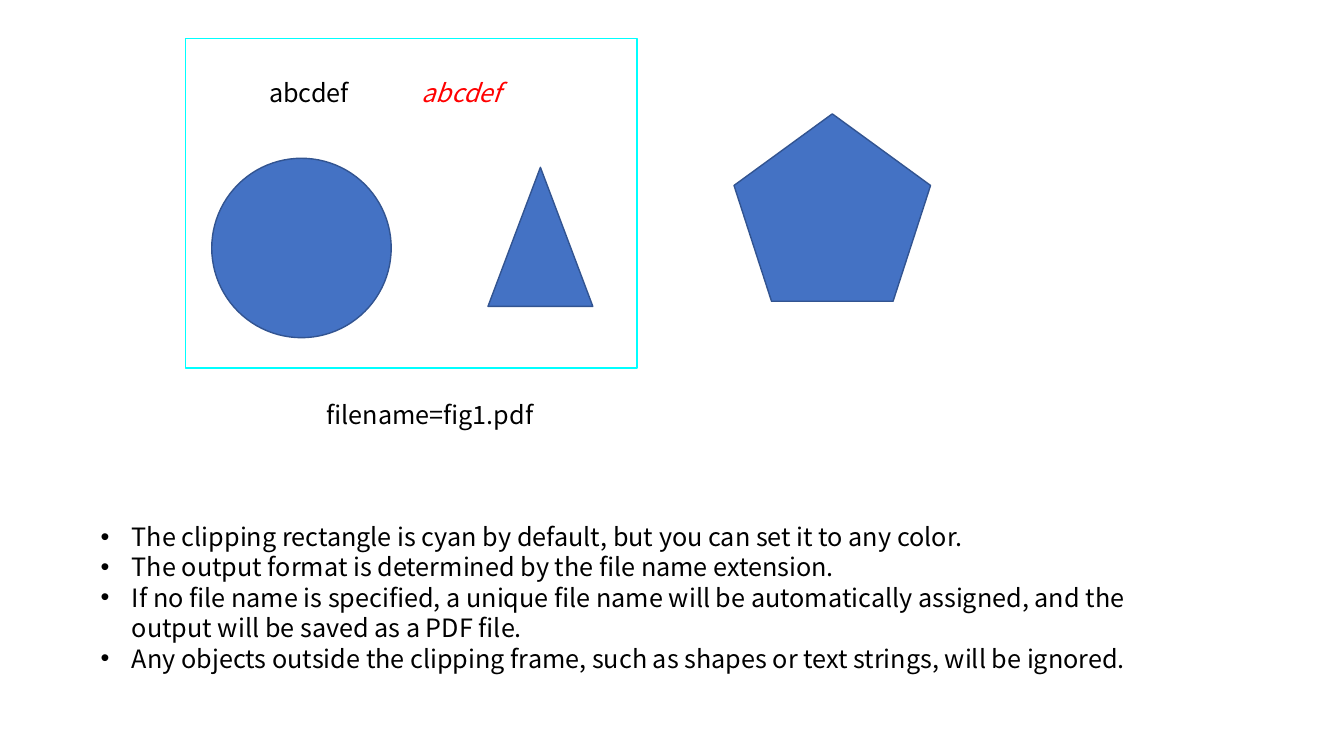
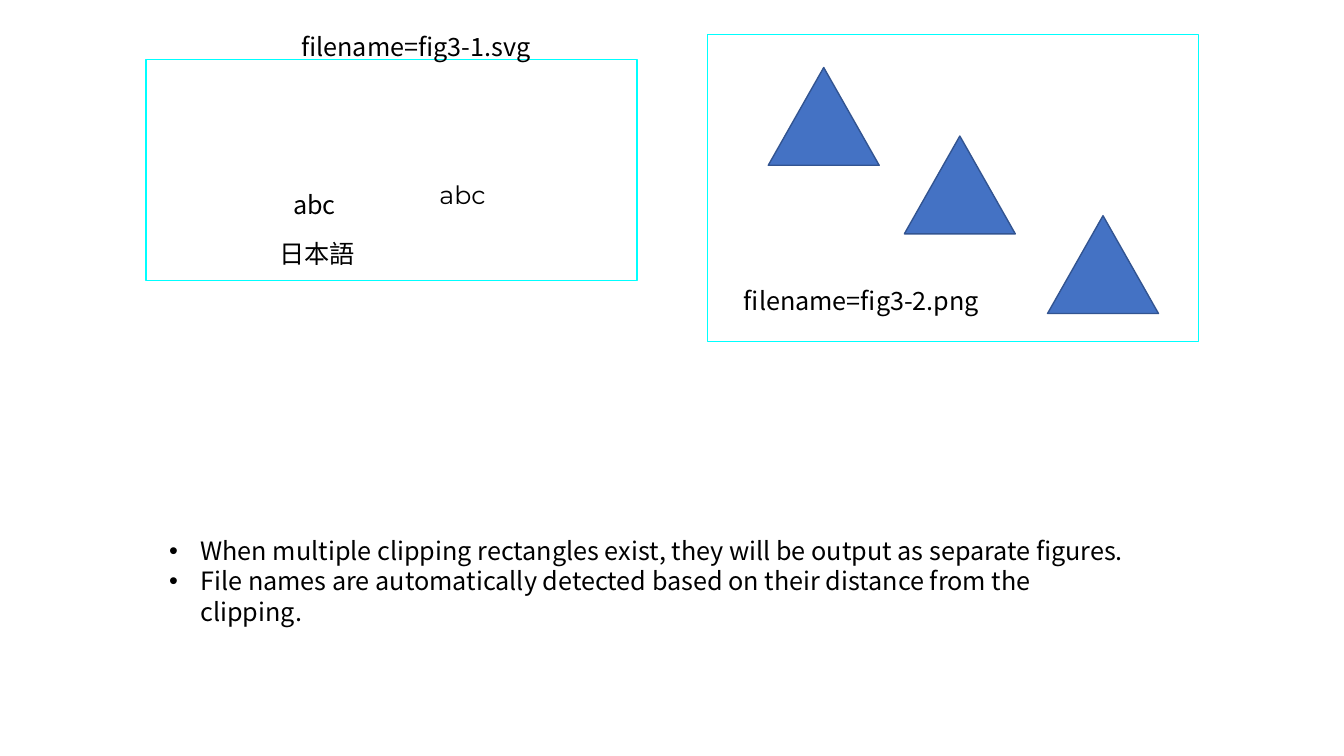
from lxml import etree
from pptx import Presentation
from pptx.dml.color import RGBColor
from pptx.enum.shapes import MSO_SHAPE
from pptx.enum.text import MSO_AUTO_SIZE, PP_ALIGN
from pptx.oxml.ns import qn
from pptx.util import Inches, Pt

BLACK = RGBColor(0x00, 0x00, 0x00)
RED = RGBColor(0xFF, 0x00, 0x00)
CYAN = RGBColor(0x00, 0xFF, 0xFF)
BLUE = RGBColor(0x44, 0x72, 0xC4)
DARK_BLUE = RGBColor(0x32, 0x54, 0x91)
BODY_FONT = "Noto Sans CJK JP"
ACCENT_FONT = "Montserrat"
LABEL_HEIGHT = 0.4

SLIDES = [
    {
        "clips": [(1.84, 0.38, 4.48, 3.27)],
        "figures": [
            (MSO_SHAPE.OVAL, (2.1, 1.57, 1.78, 1.78)),
            (MSO_SHAPE.ISOSCELES_TRIANGLE, (4.84, 1.66, 1.04, 1.38)),
            (MSO_SHAPE.REGULAR_PENTAGON, (7.28, 1.13, 1.95, 1.86)),
        ],
        "labels": [
            ("filename=fig1.pdf", (3.14, 3.91, 2.27), {}),
            ("abcdef", (2.57, 0.72, 0.99), {}),
            ("abcdef", (4.08, 0.72, 0.99), {"color": RED, "italic": True}),
        ],
        "notes_box": (0.9, 5.12, 10.39, 1.62),
        "notes": [
            "The clipping rectangle is cyan by default, but you can set it to any color.",
            "The output format is determined by the file name extension.",
            "If no file name is specified, a unique file name will be automatically "
            "assigned, and the output will be saved as a PDF file.",
            "Any objects outside the clipping frame, such as shapes or text strings, "
            "will be ignored.",
        ],
    },
    {
        "clips": [(1.45, 0.59, 4.87, 2.19), (7.02, 0.34, 4.87, 3.05)],
        "figures": [
            (MSO_SHAPE.ISOSCELES_TRIANGLE, (left, top, 1.1, 0.97))
            for left, top in [(7.62, 0.67), (8.97, 1.35), (10.39, 2.14)]
        ],
        "labels": [
            ("filename=fig3-1.svg", (2.89, 0.26, 2.62), {}),
            ("abc", (2.81, 1.83, 0.62), {}),
            ("日本語", (2.67, 2.31, 0.96), {}),
            ("filename=fig3-2.png", (7.28, 2.78, 2.57), {}),
            ("abc", (4.26, 1.73, 0.71), {"font": ACCENT_FONT}),
        ],
        "notes_box": (1.58, 5.26, 9.71, 1.01),
        "notes": [
            "When multiple clipping rectangles exist, they will be output as separate figures.",
            "File names are automatically detected based on their distance from the clipping.",
        ],
    },
]


def add_outline(slide, kind, box, line_color, fill_color=None):
    outline = slide.shapes.add_shape(kind, *map(Inches, box))
    outline.shadow.inherit = False
    if fill_color is None:
        outline.fill.background()
    else:
        outline.fill.solid()
        outline.fill.fore_color.rgb = fill_color
    outline.line.color.rgb = line_color
    outline.line.width = Pt(1)


def add_text(slide, lines, box, wrap=False, color=BLACK, italic=None, font=BODY_FONT):
    frame = slide.shapes.add_textbox(*map(Inches, box)).text_frame
    frame.word_wrap = wrap
    frame.auto_size = MSO_AUTO_SIZE.SHAPE_TO_FIT_TEXT
    frame.text = "\n".join(lines)
    for paragraph in frame.paragraphs:
        paragraph.alignment = PP_ALIGN.LEFT
        paragraph.line_spacing = Pt(21.7)
        for run in paragraph.runs:
            run.font.name = font
            run.font.size = Pt(18)
            run.font.color.rgb = color
            run.font.italic = italic
            east_asian = etree.SubElement(run.font._element, qn("a:ea"))
            east_asian.set("typeface", font)
    return frame


def add_bullets(frame):
    for paragraph in frame.paragraphs:
        properties = paragraph._p.get_or_add_pPr()
        properties.set("marL", str(Inches(0.31)))
        properties.set("indent", str(Inches(-0.31)))
        etree.SubElement(properties, qn("a:buFont")).set("typeface", "Arial")
        etree.SubElement(properties, qn("a:buChar")).set("char", "•")


def main():
    deck = Presentation()
    deck.slide_width = Inches(13.33)
    deck.slide_height = Inches(7.5)
    blank_layout = deck.slide_layouts[6]
    for content in SLIDES:
        slide = deck.slides.add_slide(blank_layout)
        for box in content["clips"]:
            add_outline(slide, MSO_SHAPE.RECTANGLE, box, CYAN)
        for kind, box in content["figures"]:
            add_outline(slide, kind, box, DARK_BLUE, BLUE)
        for label, place, style in content["labels"]:
            add_text(slide, [label], (*place, LABEL_HEIGHT), **style)
        add_bullets(add_text(slide, content["notes"], content["notes_box"], wrap=True))
    deck.save("out.pptx")


if __name__ == "__main__":
    main()
